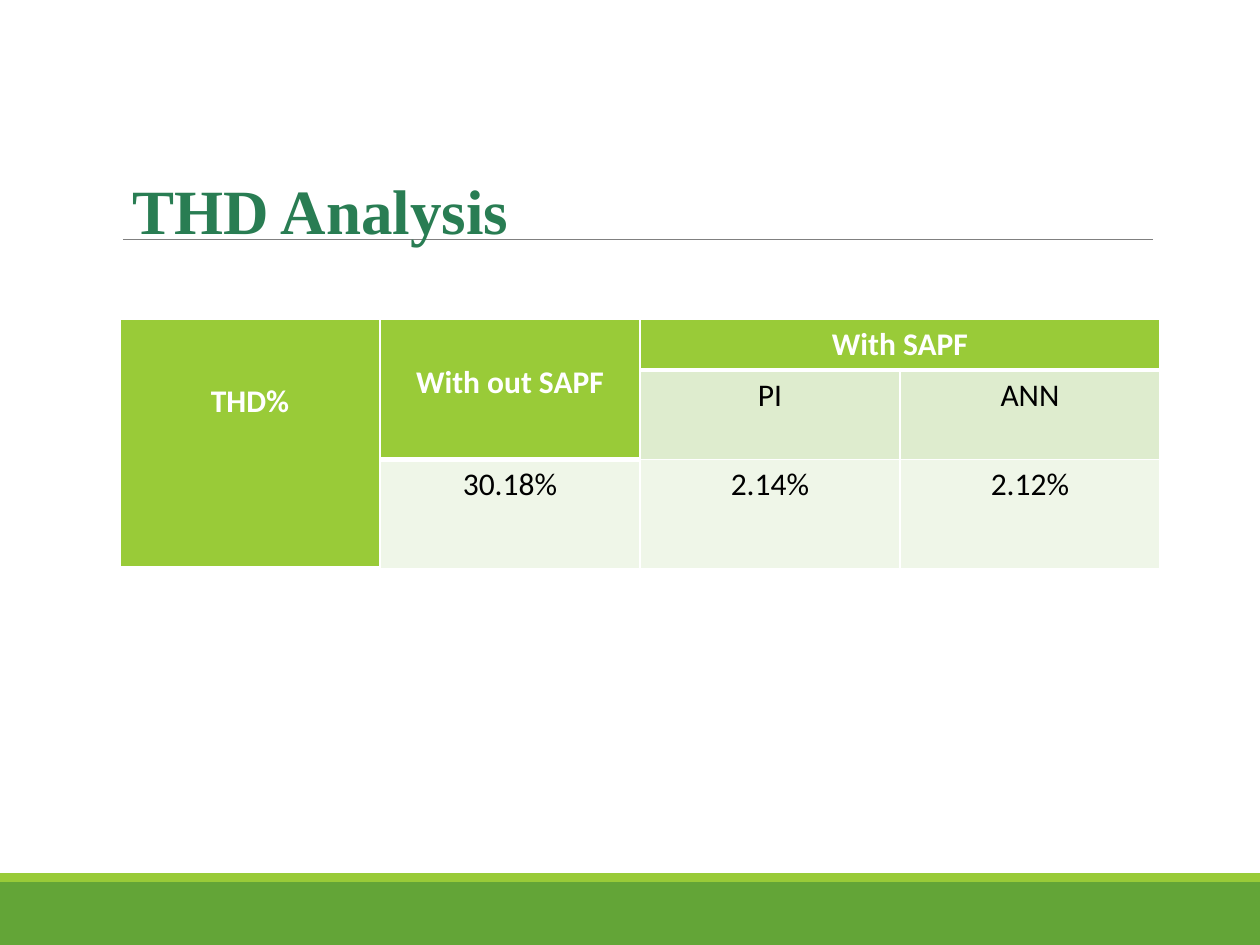
import lxml.etree
import pptx
import pptx.dml.color
import pptx.enum.shapes
import pptx.enum.text
import pptx.oxml.ns
import pptx.util

RGB = pptx.dml.color.RGBColor
WHITE = RGB(0xFF, 0xFF, 0xFF)
BLACK = RGB(0, 0, 0)
GRAY = RGB(0x80, 0x80, 0x80)
GREEN = RGB(0x63, 0xA5, 0x37)
LIME = RGB(0x99, 0xCB, 0x38)
PALE = RGB(0xDE, 0xEC, 0xCE)
PALEST = RGB(0xEF, 0xF6, 0xE8)
TEAL = RGB(0x29, 0x7D, 0x53)

HEADER = (LIME, WHITE, True, 3)
SUBHEAD = (PALE, BLACK, False, 1)
VALUE = (PALEST, BLACK, False, 1)

CELLS = [
    (0, 0, 3, 1, "THD%", HEADER, 2.5),
    (0, 1, 2, 1, "With out SAPF", HEADER, 2.0),
    (0, 2, 1, 2, "With SAPF", HEADER, None),
    (1, 2, 1, 1, "PI", SUBHEAD, None),
    (1, 3, 1, 1, "ANN", SUBHEAD, None),
    (2, 1, 1, 1, "30.18%", VALUE, None),
    (2, 2, 1, 1, "2.14%", VALUE, None),
    (2, 3, 1, 1, "2.12%", VALUE, None),
]


class SlideBuilder:
    """Draws styled elements on one slide, with lengths in px at 126 px per inch."""

    body_font = "Calibri"
    title_font = "Times New Roman"

    def __init__(self, prs):
        self.s = prs.slides.add_slide(prs.slide_layouts[6])

    @staticmethod
    def px(n):
        return pptx.util.Emu(round(n * 914400 / 126))

    def box(self, *lengths):
        return [self.px(n) for n in lengths]

    def run(self, p, text, font, size, color, bold):
        r = p.add_run()
        r.text = text
        r.font.name = font
        r.font.size = pptx.util.Pt(size)
        r.font.color.rgb = color
        r.font.bold = bold

    def band(self, x, y, w, h, color):
        kind = pptx.enum.shapes.MSO_SHAPE.RECTANGLE
        sp = self.s.shapes.add_shape(kind, *self.box(x, y, w, h))
        sp.shadow.inherit = False
        sp.fill.solid()
        sp.fill.fore_color.rgb = color
        sp.line.fill.background()

    def rule(self, x1, y1, x2, y2, color, width):
        kind = pptx.enum.shapes.MSO_CONNECTOR.STRAIGHT
        line = self.s.shapes.add_connector(kind, *self.box(x1, y1, x2, y2))
        line.line.color.rgb = color
        line.line.width = pptx.util.Pt(width)
        sp_pr = line._element.spPr
        lxml.etree.SubElement(sp_pr, pptx.oxml.ns.qn("a:effectLst"))

    def title(self, x, y, w, h, text):
        tf = self.s.shapes.add_textbox(*self.box(x, y, w, h)).text_frame
        tf.word_wrap = False
        tf.auto_size = pptx.enum.text.MSO_AUTO_SIZE.SHAPE_TO_FIT_TEXT
        self.run(tf.paragraphs[0], text, self.title_font, 36, TEAL, True)

    def borders(self, cell, bottom):
        qn = pptx.oxml.ns.qn
        tc_pr = cell._tc.get_or_add_tcPr()
        for side, width in (("L", 1), ("R", 1), ("T", 1), ("B", bottom)):
            ln = lxml.etree.SubElement(tc_pr, qn(f"a:ln{side}"), w=str(pptx.util.Pt(width)))
            fill = lxml.etree.SubElement(ln, qn("a:solidFill"))
            lxml.etree.SubElement(fill, qn("a:srgbClr"), val=str(WHITE))

    def table(self, x, y, col_width, row_height, rows, cols, cells):
        size = self.box(x, y, cols * col_width, rows * row_height)
        table = self.s.shapes.add_table(rows, cols, *size).table
        for row, col, row_span, col_span, text, style, spacing in cells:
            fill, color, bold, bottom = style
            for i in range(row, row + row_span):
                for j in range(col, col + col_span):
                    cell = table.cell(i, j)
                    self.borders(cell, bottom)
                    cell.fill.solid()
                    cell.fill.fore_color.rgb = fill
            origin = table.cell(row, col)
            if row_span * col_span > 1:
                origin.merge(table.cell(row + row_span - 1, col + col_span - 1))
            p = origin.text_frame.paragraphs[0]
            p.alignment = pptx.enum.text.PP_ALIGN.CENTER
            p.line_spacing = spacing
            self.run(p, text, self.body_font, 18, color, bold)


def main():
    prs = pptx.Presentation()
    prs.slide_width = SlideBuilder.px(1260)
    prs.slide_height = SlideBuilder.px(945)
    slide = SlideBuilder(prs)
    slide.band(0, 882, 1260, 63, GREEN)
    slide.band(0, 873, 1260, 9, LIME)
    slide.rule(123, 239, 1153, 239, GRAY, 0.5)
    slide.table(120, 319, 260, 51, 3, 4, CELLS)
    slide.title(120, 165, 406, 89, "THD Analysis")
    prs.save("out.pptx")


if __name__ == "__main__":
    main()
